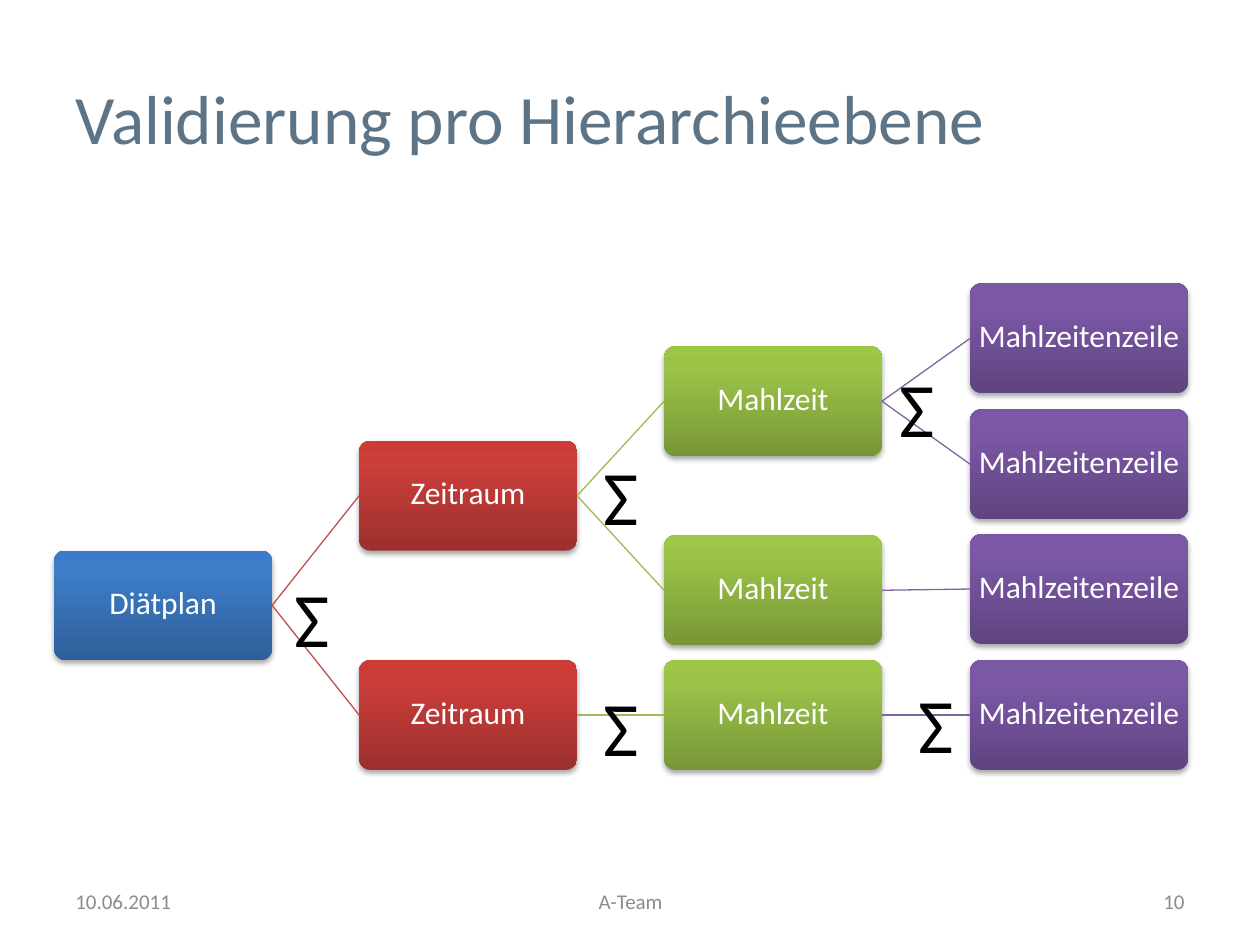
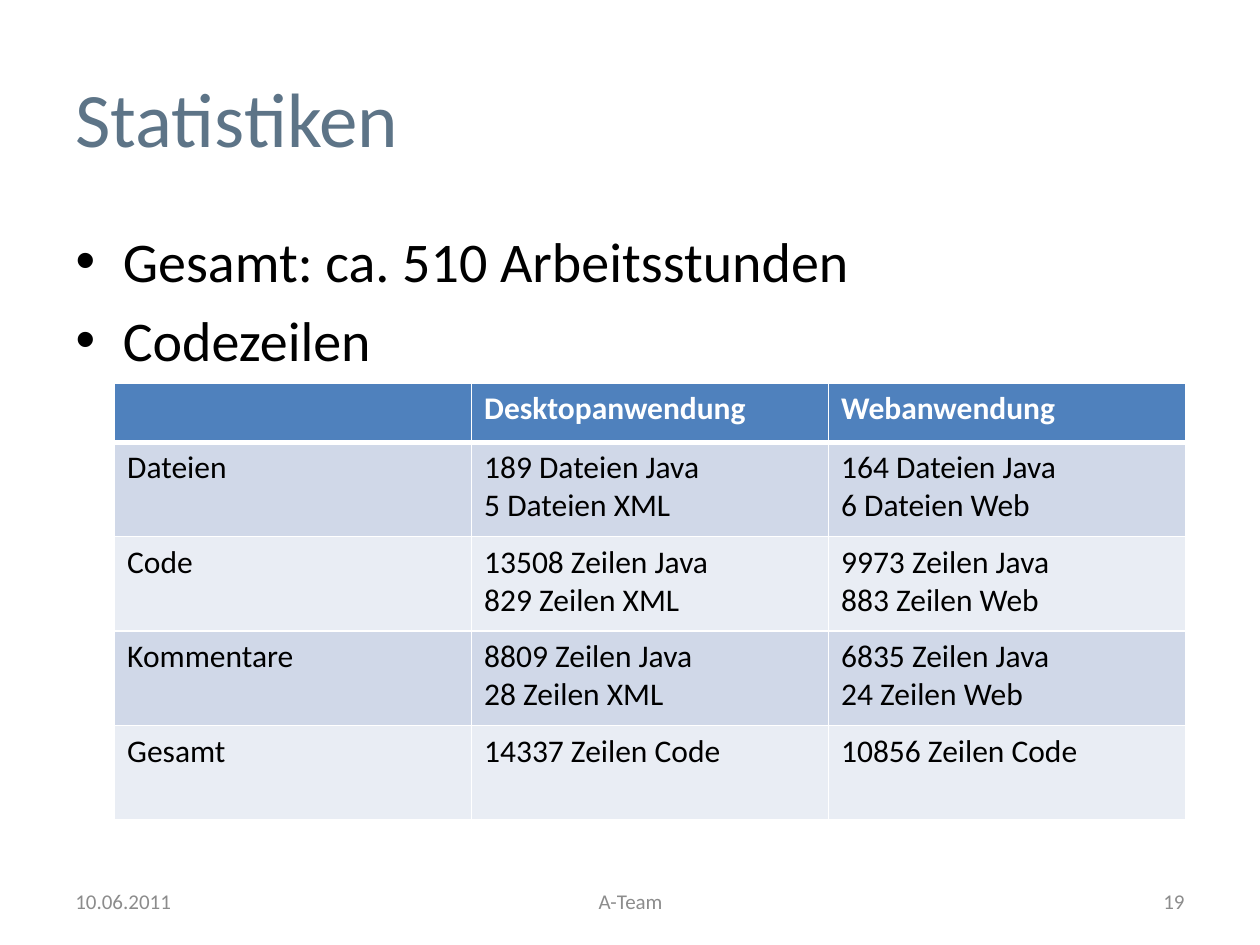
from lxml import etree
from pptx import Presentation
from pptx.dml.color import RGBColor
from pptx.enum.shapes import MSO_CONNECTOR, MSO_SHAPE
from pptx.enum.text import MSO_ANCHOR, PP_ALIGN
from pptx.oxml import parse_xml
from pptx.oxml.ns import nsdecls, qn
from pptx.util import Inches, Pt

ROUND_RECT = MSO_SHAPE.ROUNDED_RECTANGLE
STRAIGHT = MSO_CONNECTOR.STRAIGHT
MIDDLE, TOP = MSO_ANCHOR.MIDDLE, MSO_ANCHOR.TOP
LEFT, CENTER, RIGHT = PP_ALIGN.LEFT, PP_ALIGN.CENTER, PP_ALIGN.RIGHT
LEFT_SITE, RIGHT_SITE = 1, 3

FONT = "Calibri"
TITLE_COLOR = RGBColor(0x5D, 0x74, 0x87)
FOOTER_COLOR = RGBColor(0x8C, 0x8C, 0x8C)
BLACK = RGBColor(0, 0, 0)
WHITE = RGBColor(0xFF, 0xFF, 0xFF)
HEADER_FILL = RGBColor(0x4F, 0x81, 0xBD)
BAND_FILLS = [RGBColor(0xD0, 0xD8, 0xE8), RGBColor(0xE9, 0xED, 0xF4)]

DATE, TEAM = "10.06.2011", "A-Team"

# Per hierarchy level: left edge, gradient from bottom to top, line to the parent
LEVELS = [
    (0.43, ("2F5F99", "3D7CC7", "3A7CCB"), None),
    (2.85, ("9C2F2D", "CB3E3A", "CE3B37"), RGBColor(0xC0, 0x50, 0x4D)),
    (5.27, ("779737", "9BC348", "9DC746"), RGBColor(0x9B, 0xBB, 0x59)),
    (7.70, ("5F4480", "7B58A6", "7C57A8"), RGBColor(0x80, 0x64, 0xA2)),
]
BOX_W, BOX_H = 1.73, 0.87
# Text, level, top, index of the parent
NODES = [
    ("Diätplan", 0, 4.37, None),
    ("Zeitraum", 1, 3.50, 0),
    ("Mahlzeit", 2, 2.75, 1),
    ("Mahlzeitenzeile", 3, 2.25, 2),
    ("Mahlzeitenzeile", 3, 3.25, 2),
    ("Mahlzeit", 2, 4.25, 1),
    ("Mahlzeitenzeile", 3, 4.24, 5),
    ("Zeitraum", 1, 5.24, 0),
    ("Mahlzeit", 2, 5.24, 7),
    ("Mahlzeitenzeile", 3, 5.24, 8),
]
SUM_SIGNS = [(7.04, 2.81), (2.24, 4.48), (7.19, 5.32), (4.69, 3.51), (4.69, 5.34)]

BULLETS = ["Gesamt: ca. 510 Arbeitsstunden", "Codezeilen"]
TABLE = [
    ("", "Desktopanwendung", "Webanwendung"),
    ("Dateien", "189 Dateien Java\v5 Dateien XML", "164 Dateien Java\v6 Dateien Web"),
    ("Code", "13508 Zeilen Java\v829 Zeilen XML", "9973 Zeilen Java\v883 Zeilen Web"),
    ("Kommentare", "8809 Zeilen Java\v28 Zeilen XML", "6835 Zeilen Java\n24 Zeilen Web"),
    ("Gesamt", "14337 Zeilen Code", "10856 Zeilen Code"),
]
ROW_HEIGHTS = [0.47] + [0.75] * 4


def place(sp, x, y, w, h):
    """Move and size a shape, in inches."""
    sp.left, sp.top, sp.width, sp.height = map(Inches, (x, y, w, h))


def write(tf, text, size, color, align=LEFT, bold=False):
    """Fill a text frame and format its paragraphs."""
    tf.text = text
    for p in tf.paragraphs:
        p.alignment = align
        p.font.name, p.font.size, p.font.bold = FONT, Pt(size), bold
        p.font.color.rgb = color


def add_text(s, box, text, size, color, align=LEFT, anchor=TOP, wrap=True):
    """Add a text box."""
    tf = s.shapes.add_textbox(*map(Inches, box)).text_frame
    tf.word_wrap, tf.vertical_anchor = wrap, anchor
    write(tf, text, size, color, align)


def add_slide(prs, layout, title, title_size, number):
    """Add a slide with its title and footer."""
    s = prs.slides.add_slide(prs.slide_layouts[layout])
    place(s.shapes.title, 0.5, 0.3, 7.81, 1.25)
    s.shapes.title.text_frame.vertical_anchor = MIDDLE
    write(s.shapes.title.text_frame, title, title_size, TITLE_COLOR)
    for text, x, w, align in [(DATE, 0.5, 2.33, LEFT), (TEAM, 3.42, 3.17, CENTER),
                              (str(number), 7.17, 2.33, RIGHT)]:
        add_text(s, (x, 6.95, w, 0.4), text, 12, FOOTER_COLOR, align, MIDDLE)
    return s


def add_node(s, text, level, top):
    """Add a rounded box with the gradient of its level and a soft shadow."""
    left, colors, _ = LEVELS[level]
    sp = s.shapes.add_shape(ROUND_RECT, *map(Inches, (left, top, BOX_W, BOX_H)))
    sp.adjustments[0] = 0.1
    sp.line.fill.background()
    stops = "".join(f'<a:gs pos="{pos}000"><a:srgbClr val="{c}"/></a:gs>'
                    for pos, c in zip((0, 80, 100), colors))
    props = sp._element.spPr
    props.find(qn("a:prstGeom")).addnext(parse_xml(
        f'<a:gradFill {nsdecls("a")} rotWithShape="1"><a:gsLst>{stops}</a:gsLst>'
        '<a:lin ang="16200000" scaled="0"/></a:gradFill>'))
    props.append(parse_xml(
        f'<a:effectLst {nsdecls("a")}><a:outerShdw blurRad="{Pt(3.1)}" dist="{Pt(1.8)}" '
        'dir="5400000" rotWithShape="0"><a:srgbClr val="000000"><a:alpha val="35000"/>'
        '</a:srgbClr></a:outerShdw></a:effectLst>'))
    tf = sp.text_frame
    tf.margin_left = tf.margin_right = tf.margin_top = Inches(0.03)
    tf.margin_bottom = Inches(0.05)
    tf.word_wrap, tf.vertical_anchor = True, MIDDLE
    write(tf, text, 18, WHITE, CENTER)
    tf.paragraphs[0].line_spacing = 0.9
    return sp


def add_link(s, parent, child, color):
    """Join the right side of the parent to the left side of the child."""
    line = s.shapes.add_connector(STRAIGHT, 0, 0, 0, 0)
    line.begin_connect(parent, RIGHT_SITE)
    line.end_connect(child, LEFT_SITE)
    line.line.color.rgb, line.line.width = color, Pt(0.75)
    etree.SubElement(line._element.spPr, qn("a:effectLst"))


def set_borders(cell, top, bottom):
    """Draw white cell borders; top and bottom widths are in points."""
    widths = {"L": 1, "R": 1, "T": top, "B": bottom}
    for i, (side, width) in enumerate(widths.items()):
        cell._tc.get_or_add_tcPr().insert(i, parse_xml(
            f'<a:ln{side} {nsdecls("a")} w="{Pt(width)}"><a:solidFill>'
            f'<a:srgbClr val="{WHITE}"/></a:solidFill></a:ln{side}>'))


def build_hierarchy(prs):
    """Slide with the tree of levels and the sum signs."""
    s = add_slide(prs, 5, "Validierung pro Hierarchieebene", 39.6, 10)
    boxes = []
    for text, level, top, parent in NODES:
        boxes.append(add_node(s, text, level, top))
        if parent is not None:
            add_link(s, boxes[parent], boxes[-1], LEVELS[level][2])
    for x, y in SUM_SIGNS:
        add_text(s, (x, y, 0.48, 0.84), "Σ", 44, BLACK, wrap=False)


def build_statistics(prs):
    """Slide with the bullets and the table of code figures."""
    s = add_slide(prs, 1, "Statistiken", 44, 19)
    body = s.placeholders[1]
    place(body, 0.5, 1.75, 9, 4.95)
    write(body.text_frame, "\n".join(BULLETS), 32, BLACK)
    frame = s.shapes.add_table(len(TABLE), len(TABLE[0]), *map(
        Inches, (0.91, 3.04, 8.5, sum(ROW_HEIGHTS))))
    table = frame.table
    for i, row in enumerate(TABLE):
        table.rows[i].height = Inches(ROW_HEIGHTS[i])
        header = i == 0
        for j, text in enumerate(row):
            cell = table.cell(i, j)
            write(cell.text_frame, text, 18, WHITE if header else BLACK, bold=header)
            cell.fill.solid()
            cell.fill.fore_color.rgb = HEADER_FILL if header else BAND_FILLS[(i - 1) % 2]
            set_borders(cell, top=3 if i == 1 else 1, bottom=3 if header else 1)


prs = Presentation()
prs.slide_width, prs.slide_height = Inches(10), Inches(7.5)
build_hierarchy(prs)
build_statistics(prs)
prs.save("out.pptx")
